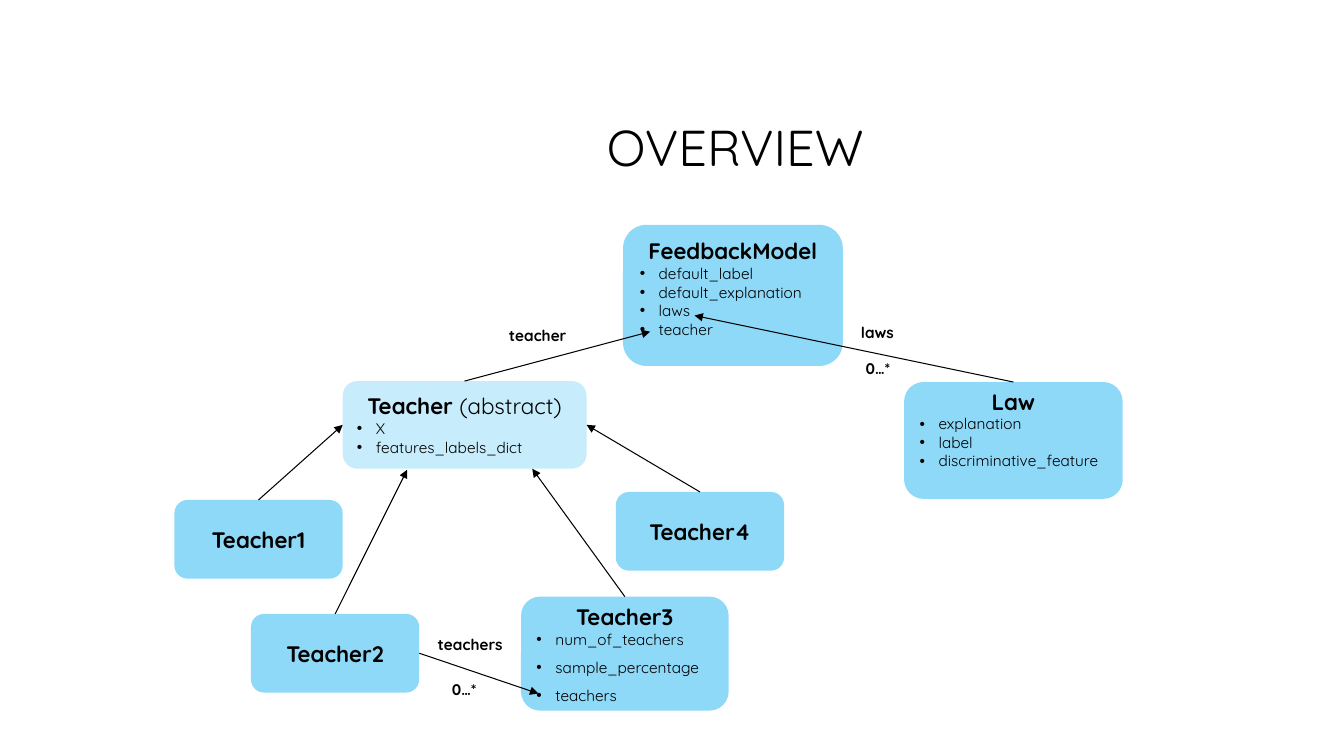
from lxml.etree import SubElement
from pptx import Presentation
from pptx.dml.color import RGBColor
from pptx.enum.shapes import MSO_CONNECTOR, MSO_SHAPE
from pptx.enum.text import MSO_ANCHOR, MSO_AUTO_SIZE, PP_ALIGN
from pptx.oxml.ns import qn
from pptx.util import Pt

TOP, LEFT, RIGHT = 0, 1, 3  # connection sites of a rounded rectangle


def color(value):
    return RGBColor.from_string(value)


class ClassDiagram:
    font = "Quicksand"
    ink = "000000"
    blue = "8ED8F8"
    pale = "C7ECFB"
    name_size = 16
    detail_size = 11

    def __init__(self, slide):
        self.slide = slide

    def style(self, span, size, bold=False):
        span.font.name = self.font
        span.font.size = Pt(size)
        span.font.bold = bold
        span.font.color.rgb = color(self.ink)

    def title(self, text, left, top, width, height):
        box = self.slide.shapes.title
        box.left, box.top, box.width, box.height = map(Pt, (left, top, width, height))
        frame = box.text_frame
        frame.text = text
        frame.auto_size = MSO_AUTO_SIZE.NONE
        frame.vertical_anchor = MSO_ANCHOR.MIDDLE
        para = frame.paragraphs[0]
        para.alignment = PP_ALIGN.CENTER
        para.line_spacing = 0.9
        self.style(para.runs[0], 36)

    def bullet(self, frame, text, spacing):
        para = frame.add_paragraph()
        para.text = text
        para.alignment = PP_ALIGN.LEFT
        para.line_spacing = spacing
        self.style(para.runs[0], self.detail_size)
        properties = para._p.get_or_add_pPr()
        properties.set("marL", str(Pt(13.5)))
        properties.set("indent", str(-Pt(13.5)))
        SubElement(properties, qn("a:buFont")).set("typeface", "Arial")
        SubElement(properties, qn("a:buChar")).set("char", "•")

    def class_box(self, name, left, top, width=120.2, height=56.2, note="",
                  fields=(), spacings=(), inset=None, fill=blue):
        box = self.slide.shapes.add_shape(
            MSO_SHAPE.ROUNDED_RECTANGLE, Pt(left), Pt(top), Pt(width), Pt(height))
        box.shadow.inherit = False
        box.fill.solid()
        box.fill.fore_color.rgb = color(fill)
        box.line.fill.background()
        frame = box.text_frame
        frame.word_wrap = True
        frame.vertical_anchor = MSO_ANCHOR.MIDDLE
        if inset is not None:
            frame.vertical_anchor = MSO_ANCHOR.TOP
            frame.margin_top = Pt(inset)
        frame.text = name
        para = frame.paragraphs[0]
        para.alignment = PP_ALIGN.CENTER
        self.style(para.runs[0], self.name_size, bold=True)
        if note:
            span = para.add_run()
            span.text = note
            self.style(span, self.name_size)
        for field, spacing in zip(fields, spacings or [1.0] * len(fields)):
            self.bullet(frame, field, spacing)
        return box

    def arrow(self, source, source_site, target, target_site=None):
        """Target is a point, or a box when a target site is given."""
        end = (0, 0) if target_site is not None else target
        line = self.slide.shapes.add_connector(
            MSO_CONNECTOR.STRAIGHT, 0, 0, Pt(end[0]), Pt(end[1]))
        line.begin_connect(source, source_site)
        if target_site is not None:
            line.end_connect(target, target_site)
        line.line.width = Pt(0.75)
        line.line.color.rgb = color(self.ink)
        SubElement(line.line._get_or_add_ln(), qn("a:tailEnd")).set("type", "triangle")
        SubElement(line._element.spPr, qn("a:effectLst"))

    def label(self, text, left, top, width):
        box = self.slide.shapes.add_textbox(Pt(left), Pt(top), Pt(width), Pt(20.9))
        frame = box.text_frame
        frame.word_wrap = True
        frame.auto_size = MSO_AUTO_SIZE.SHAPE_TO_FIT_TEXT
        frame.text = text
        para = frame.paragraphs[0]
        para.alignment = PP_ALIGN.CENTER
        self.style(para.runs[0], self.detail_size, bold=True)


def main():
    deck = Presentation()
    deck.slide_width, deck.slide_height = Pt(960), Pt(540)
    page = deck.slides.add_slide(deck.slide_layouts[5])
    diagram = ClassDiagram(page)
    diagram.title("OVERVIEW", 228.2, 60.5, 594, 93.6)

    # Classes
    diagram.class_box(
        "FeedbackModel", 445, 160.6, 157, 100.8, inset=4,
        fields=["default_label", "default_explanation", "laws", "teacher"])
    teacher = diagram.class_box(
        "Teacher ", 244.8, 272.2, 174.2, 62.6, note="(abstract)", inset=5,
        fields=["X", "features_labels_dict"], fill=diagram.pale)
    law = diagram.class_box(
        "Law", 645.8, 272.9, 156.2, 83.5, inset=0,
        fields=["explanation", "label", "discriminative_feature"])
    teacher4 = diagram.class_box("Teacher4", 439.9, 351.4)
    teacher3 = diagram.class_box(
        "Teacher3", 372.2, 426.2, 148.3, 81.4, inset=1,
        fields=["num_of_teachers", "sample_percentage", "teachers"],
        spacings=[1.0, 1.5, 1.5])
    teacher2 = diagram.class_box("Teacher2", 179.3, 438.5)
    teacher1 = diagram.class_box("Teacher1", 124.6, 357.1)

    # Relations to single fields
    diagram.arrow(law, TOP, (496.1, 225.4))
    diagram.arrow(teacher, TOP, (464.4, 236.9))
    diagram.arrow(teacher2, RIGHT, (384.5, 495.4))

    # Inheritance
    diagram.arrow(teacher1, TOP, teacher, LEFT)
    diagram.arrow(teacher2, TOP, (290.9, 335.5))
    diagram.arrow(teacher3, TOP, (380.2, 334.8))
    diagram.arrow(teacher4, TOP, teacher, RIGHT)

    # Relation labels
    for text, left, top, width in [
        ("teachers", 270, 450, 131.8),
        ("0…*", 265.7, 482.4, 131.8),
        ("laws", 591.1, 227.5, 71.3),
        ("0…*", 596.2, 252.7, 61.9),
        ("teacher", 318.2, 229.7, 131.8),
    ]:
        diagram.label(text, left, top, width)

    deck.save("out.pptx")


if __name__ == "__main__":
    main()
